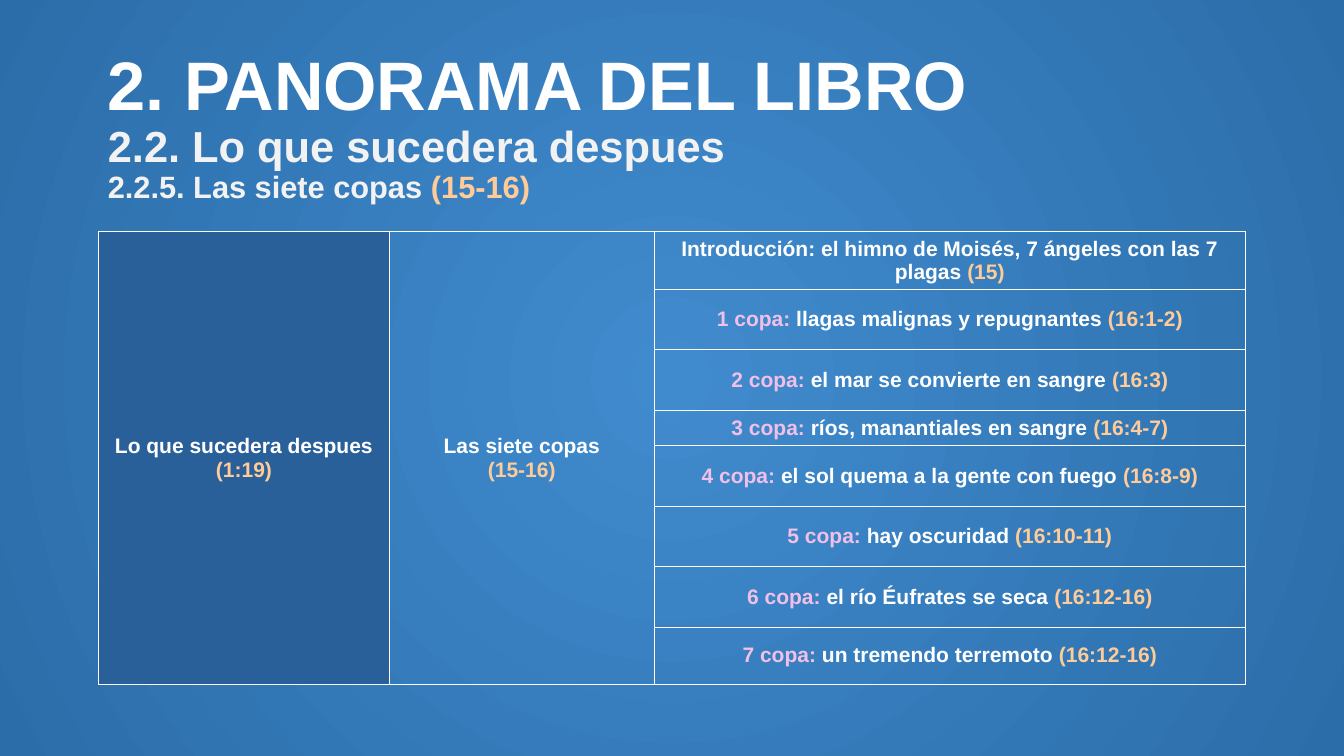
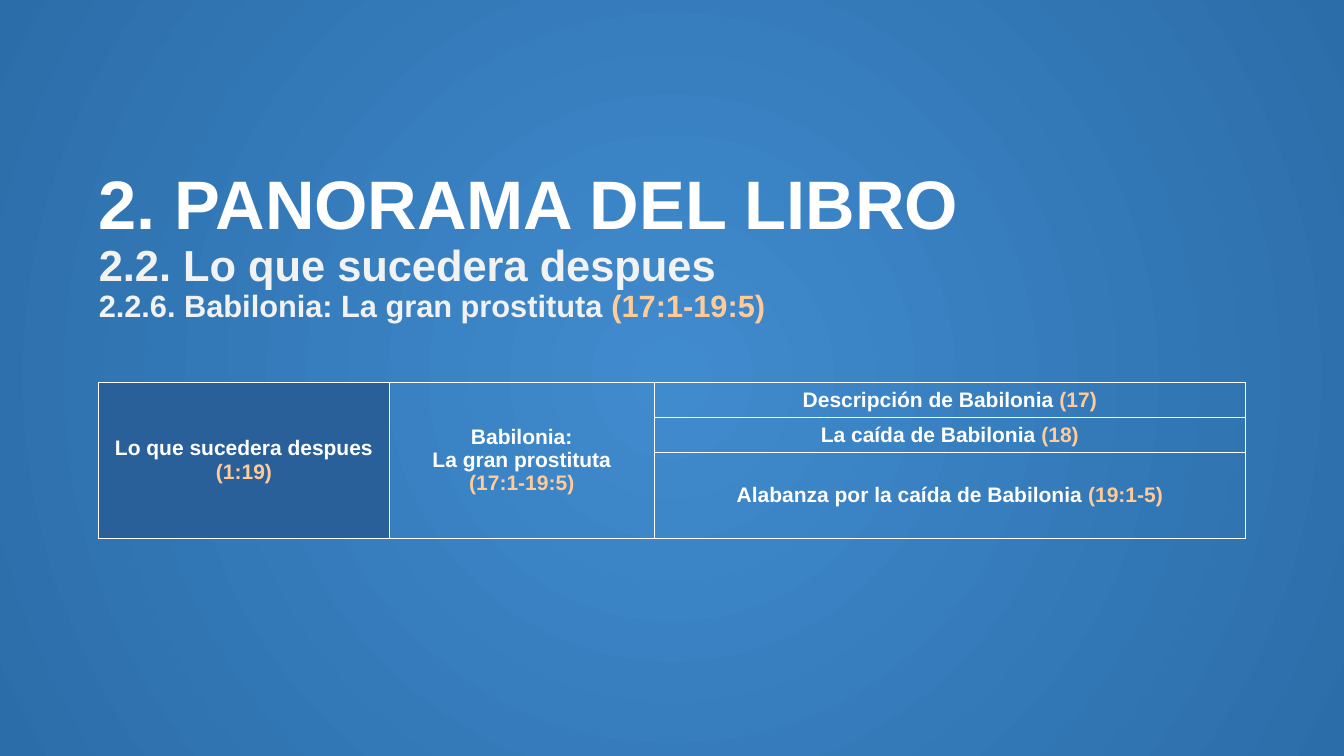
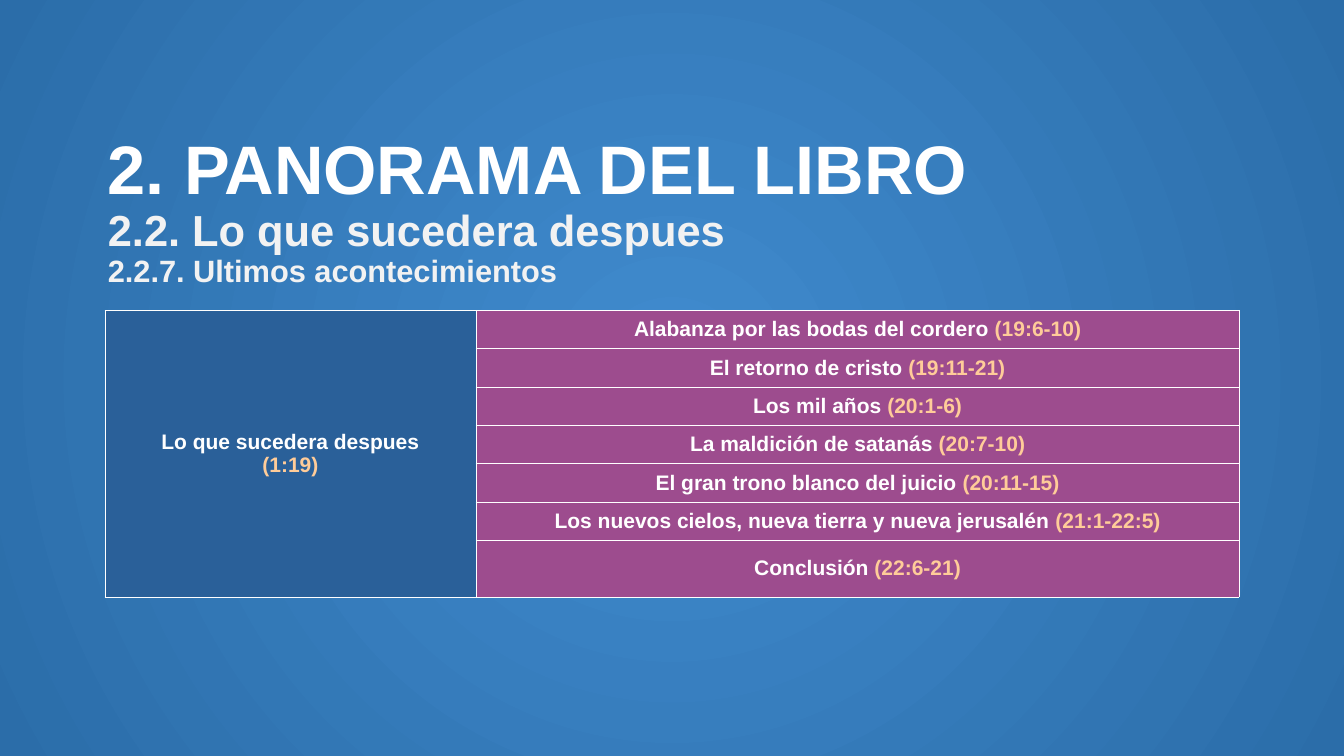
"""Builds three slides outlining the closing chapters of a book study."""
from copy import deepcopy

from lxml.etree import SubElement
from pptx import Presentation
from pptx.dml.color import RGBColor
from pptx.enum.text import MSO_ANCHOR as Anchor, MSO_AUTO_SIZE as AutoSize, PP_ALIGN as Align
from pptx.oxml import parse_xml
from pptx.oxml.ns import nsdecls, qn
from pptx.util import Inches, Pt

COLORS = {
    "glow": "408BCE",
    "edge": "2B6DA9",
    "white": "FFFFFF",
    "soft": "F2F2F2",
    "verse": "FFCC99",
    "cup": "F1C0E8",
    "era": "2A6099",
    "event": "9D4C8E",
}
FONT = "Arial"
ERA = [[("Lo que sucedera despues", "white")], [("(1:19)", "verse")]]


def rgb(name):
    return RGBColor.from_string(COLORS[name])


def topic(text, verses):
    return [(f"{text} ", "white"), (f"({verses})", "verse")]


class Deck:
    """Holds the shared style and the slide being built."""

    def __init__(self):
        self.prs = Presentation()
        self.prs.slide_width, self.prs.slide_height = Inches(13.33), Inches(7.5)
        self.slide = None
        self.paint_background()

    def paint_background(self):
        fill = self.prs.slide_master.background.fill
        fill.gradient()
        for stop, name in zip(fill.gradient_stops, ("glow", "edge")):
            stop.color.rgb = rgb(name)
        linear = next(self.prs.slide_master.element.iter(qn("a:lin")))
        linear.getparent().replace(linear, parse_xml(
            f'<a:path {nsdecls("a")} path="circle">'
            '<a:fillToRect l="50000" t="50000" r="50000" b="50000"/></a:path>'))

    def add_run(self, paragraph, text, size, color):
        run = paragraph.add_run()
        run.text = text
        run.font.name, run.font.size, run.font.bold = FONT, Pt(size), True
        run.font.color.rgb = rgb(color)
        return run

    def start(self, left, top, section):
        self.slide = self.prs.slides.add_slide(self.prs.slide_layouts[5])
        title = self.slide.shapes.title
        title.left, title.top = Inches(left), Inches(top)
        title.width, title.height = Inches(11.4), Inches(1.69)
        frame = title.text_frame
        frame.auto_size, frame.vertical_anchor = AutoSize.NONE, Anchor.MIDDLE
        heading = frame.paragraphs[0]
        heading.alignment, heading.line_spacing = Align.LEFT, 0.9
        for text, size, color in (("2. PANORAMA DEL LIBRO", 49, "white"),
                                  ("2.2. Lo que sucedera despues", 31, "soft")):
            run = self.add_run(heading, text, size, color)
            heading.add_line_break()
            heading._p[-1].append(deepcopy(run._r.rPr))
        for text, color in section:
            self.add_run(heading, text, 22, color)

    def style_cell(self, cell, fill):
        cell.margin_left = cell.margin_right = Inches(0.04)
        cell.margin_top = cell.margin_bottom = Inches(0.05)
        cell.vertical_anchor = Anchor.MIDDLE
        props = cell._tc.get_or_add_tcPr()
        for side in ("L", "R", "T", "B"):
            border = SubElement(props, qn(f"a:ln{side}"), w=str(Pt(0.57)))
            solid = SubElement(border, qn("a:solidFill"))
            SubElement(solid, qn("a:srgbClr"), val=COLORS["white"])
        if fill:
            cell.fill.solid()
            cell.fill.fore_color.rgb = rgb(fill)
        else:
            cell.fill.background()

    def write_cell(self, cell, lines):
        frame = cell.text_frame
        for index, line in enumerate(lines):
            paragraph = frame.add_paragraph() if index else frame.paragraphs[0]
            paragraph.alignment = Align.CENTER
            for text, color in line:
                self.add_run(paragraph, text, 15, color)

    def outline(self, left, top, widths, heights, groups, topics, topic_fill=None):
        frame = self.slide.shapes.add_table(
            len(heights), len(widths), Inches(left), Inches(top),
            Inches(sum(widths)), Inches(sum(heights)))
        table = frame.table
        table.first_row = table.horz_banding = False
        for column, width in zip(table.columns, widths):
            column.width = Inches(width)
        for row, height in zip(table.rows, heights):
            row.height = Inches(height)
        fills = ["era"] + [None] * (len(groups) - 1) + [topic_fill]
        for row in table.rows:
            for cell, fill in zip(row.cells, fills):
                self.style_cell(cell, fill)
        for column, lines in enumerate(groups):
            group = table.cell(0, column)
            group.merge(table.cell(len(heights) - 1, column))
            self.write_cell(group, lines)
        for row, line in enumerate(topics):
            self.write_cell(table.cell(row, len(groups)), [line])


def main():
    deck = Deck()
    three_columns = [2.88, 2.63, 5.86]

    cups = [
        ("llagas malignas y repugnantes", "16:1-2"),
        ("el mar se convierte en sangre", "16:3"),
        ("ríos, manantiales en sangre", "16:4-7"),
        ("el sol quema a la gente con fuego", "16:8-9"),
        ("hay oscuridad", "16:10-11"),
        ("el río Éufrates se seca", "16:12-16"),
        ("un tremendo terremoto", "16:12-16"),
    ]
    introduction = topic("Introducción: el himno de Moisés, 7 ángeles con las 7 plagas", "15")
    deck.start(0.97, 0.43, [("2.2.5. Las siete copas ", "soft"), ("(15-16)", "verse")])
    deck.outline(
        0.98, 2.3, three_columns, [0.57, 0.6, 0.6, 0.35, 0.6, 0.6, 0.6, 0.57],
        [ERA, [[("Las siete copas", "white")], [("(15-16)", "verse")]]],
        [introduction] + [[(f"{number} copa:", "cup")] + topic(f" {text}", verses)
                          for number, (text, verses) in enumerate(cups, 1)])

    babylon = [[("Babilonia:", "white")], [("La gran prostituta", "white")],
               [("(17:1-19:5)", "verse")]]
    deck.start(0.88, 1.61, [("2.2.6. Babilonia: La gran prostituta ", "soft"),
                            ("(17:1-19:5)", "verse")])
    deck.outline(
        0.98, 3.79, three_columns, [0.35, 0.35, 0.85], [ERA, babylon],
        [topic("Descripción de Babilonia", "17"),
         topic("La caída de Babilonia", "18"),
         topic("Alabanza por la caída de Babilonia", "19:1-5")])

    last_events = [
        ("Alabanza por las bodas del cordero", "19:6-10"),
        ("El retorno de cristo", "19:11-21"),
        ("Los mil años", "20:1-6"),
        ("La maldición de satanás", "20:7-10"),
        ("El gran trono blanco del juicio", "20:11-15"),
        ("Los nuevos cielos, nueva tierra y nueva jerusalén", "21:1-22:5"),
        ("Conclusión", "22:6-21"),
    ]
    deck.start(0.97, 1.26, [("2.2.7. Ultimos acontecimientos", "soft")])
    deck.outline(
        1.04, 3.08, [3.68, 7.57], [0.38] * 6 + [0.56], [ERA],
        [topic(text, verses) for text, verses in last_events], "event")

    deck.prs.save("out.pptx")


if __name__ == "__main__":
    main()
